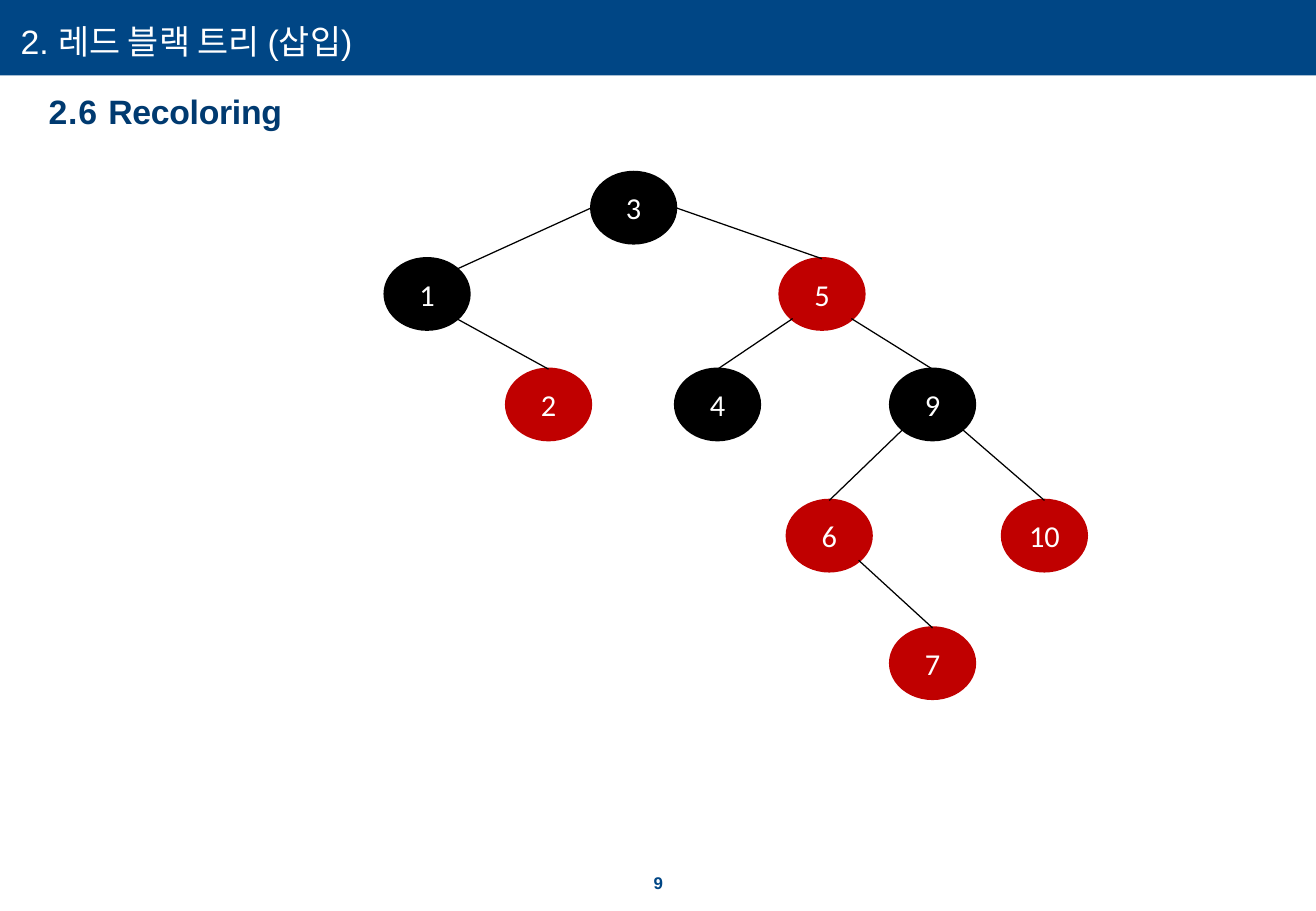
import pptx
import pptx.util
import pptx.dml.color
import pptx.enum.shapes
import pptx.enum.text
import pptx.oxml

THEME = {
    "banner": "004685", "heading": "003A70", "paper": "FFFFFF",
    "black": "000000", "red": "C00000",
    "text_font": "Arial", "node_font": "Calibri",
    "title_size": 20, "node_size": 18, "page_size": 10,
    "node_line": 2, "edge_line": 0.75,
}
rgb = pptx.dml.color.RGBColor.from_string

deck = pptx.Presentation()
deck.slide_width = pptx.util.Inches(10.83)
deck.slide_height = pptx.util.Inches(7.5)
slide = deck.slides.add_slide(deck.slide_layouts[6])
column = deck.slide_width / 100
row = deck.slide_height / 100


def place(left, top, width, height):
    return int(left * column), int(top * row), int(width * column), int(height * row)


def add_label(area, pieces, size, color, bold, indent):
    frame = slide.shapes.add_textbox(*place(*area)).text_frame
    frame.word_wrap = True
    frame.margin_left = frame.margin_right = frame.margin_top = frame.margin_bottom = 0
    line = frame.paragraphs[0]
    line._p.get_or_add_pPr().set("marL", str(pptx.util.Inches(indent)))
    for text, spacing in pieces:
        run = line.add_run()
        run.text = text
        run.font.name = THEME["text_font"]
        run.font.size = pptx.util.Pt(size)
        run.font.bold = bold
        run.font.color.rgb = rgb(THEME[color])
        run._r.get_or_add_rPr().set("spc", str(int(spacing * 100)))
    return line


banner = slide.shapes.add_shape(
    pptx.enum.shapes.MSO_SHAPE.RECTANGLE, *place(0, 0, 100, 8.27))
banner.shadow.inherit = False
banner.fill.solid()
banner.fill.fore_color.rgb = rgb(THEME["banner"])
banner.line.fill.background()

page_number = add_label((49.03, 96, 2.03, 2), [("9", 0.5)],
                        THEME["page_size"], "banner", True, 0.07)
page_number.line_spacing = pptx.util.Pt(10.9)
add_label((1.48, 2.27, 49.58, 8.93), [("2. 레드 블랙 트리 (삽입)", 0)],
          THEME["title_size"], "paper", False, 0.01)
add_label((3.6, 10, 61.03, 4.53), [("2.6 ", 0.5), ("Recoloring", -0.2)],
          THEME["title_size"], "heading", True, 0.01)

node_width, node_height = 6.37, 7.73
level_tops = [18.93, 28.4, 40.53, 54.93, 68.93]
nodes = {
    "3": (44.97, 0, "black"),
    "1": (29.27, 1, "black"),
    "5": (59.28, 1, "red"),
    "2": (38.5, 2, "red"),
    "4": (51.34, 2, "black"),
    "9": (67.68, 2, "black"),
    "6": (59.83, 3, "red"),
    "10": (76.18, 3, "red"),
    "7": (67.68, 4, "red"),
}
for key, (left, level, color) in nodes.items():
    node = slide.shapes.add_shape(
        pptx.enum.shapes.MSO_SHAPE.OVAL,
        *place(left, level_tops[level], node_width, node_height))
    node.shadow.inherit = False
    node.fill.solid()
    node.fill.fore_color.rgb = node.line.color.rgb = rgb(THEME[color])
    node.line.width = pptx.util.Pt(THEME["node_line"])
    node.text_frame.text = key
    node.text_frame.vertical_anchor = pptx.enum.text.MSO_ANCHOR.MIDDLE
    label = node.text_frame.paragraphs[0]
    label.alignment = pptx.enum.text.PP_ALIGN.CENTER
    label.runs[0].font.name = THEME["node_font"]
    label.runs[0].font.size = pptx.util.Pt(THEME["node_size"])
    label.runs[0].font.color.rgb = rgb(THEME["paper"])

sites = {
    "top": (0.5, 0), "top right": (0.85, 0.15),
    "left": (0, 0.5), "right": (1, 0.5),
    "bottom left": (0.15, 0.85), "bottom right": (0.85, 0.85),
}
edges = [
    ("3", "left", "1", "top right"),
    ("3", "right", "5", "top"),
    ("1", "bottom right", "2", "top"),
    ("5", "bottom left", "4", "top"),
    ("5", "bottom right", "9", "top"),
    ("9", "bottom left", "6", "top"),
    ("9", "bottom right", "10", "top"),
    ("6", "bottom right", "7", "top"),
]
for parent, parent_site, child, child_site in edges:
    ends = []
    for key, site in ((parent, parent_site), (child, child_site)):
        left, level, color = nodes[key]
        across, down = sites[site]
        ends += [int((left + across * node_width) * column),
                 int((level_tops[level] + down * node_height) * row)]
    edge = slide.shapes.add_connector(
        pptx.enum.shapes.MSO_CONNECTOR.STRAIGHT, *ends)
    edge.line.color.rgb = rgb(THEME["black"])
    edge.line.width = pptx.util.Pt(THEME["edge_line"])
    edge._element.spPr.append(pptx.oxml.parse_xml(
        '<a:effectLst xmlns:a="http://schemas.openxmlformats.org/drawingml/2006/main"/>'))

deck.save("out.pptx")
